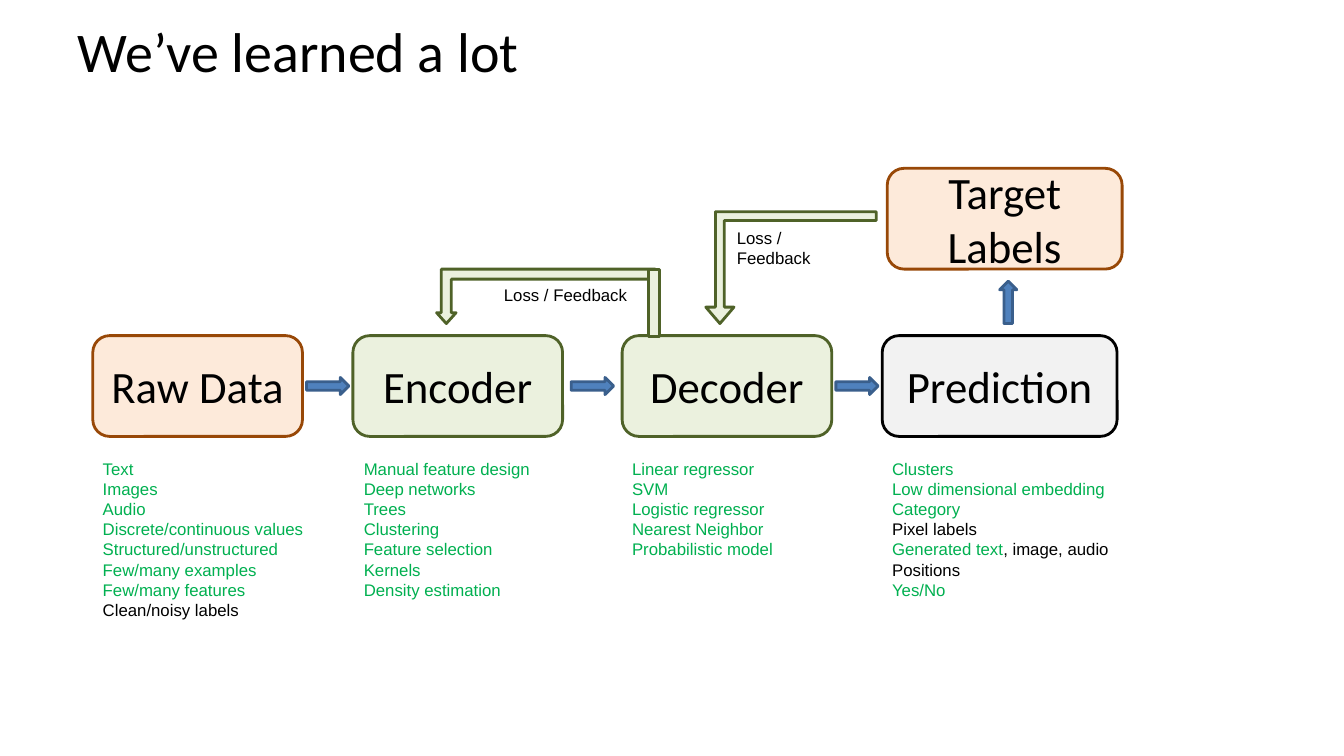
import pptx
import pptx.util
import pptx.dml.color
import pptx.enum.shapes
import pptx.enum.text

Inches = pptx.util.Inches
RGBColor = pptx.dml.color.RGBColor
SHAPE = pptx.enum.shapes.MSO_SHAPE
ALIGN = pptx.enum.text.PP_ALIGN
ANCHOR = pptx.enum.text.MSO_ANCHOR
FIT = pptx.enum.text.MSO_AUTO_SIZE

BLACK = RGBColor(0x00, 0x00, 0x00)
GREEN = RGBColor(0x00, 0xB0, 0x50)
PEACH = RGBColor(0xFD, 0xEA, 0xDA)
BROWN = RGBColor(0x98, 0x48, 0x07)
PALE_GREEN = RGBColor(0xEB, 0xF1, 0xDE)
OLIVE = RGBColor(0x4F, 0x62, 0x28)
PALE_GREY = RGBColor(0xF2, 0xF2, 0xF2)
BLUE = RGBColor(0x4F, 0x81, 0xBD)
DARK_BLUE = RGBColor(0x3A, 0x5F, 0x8C)

STAGE_TOP, STAGE_HEIGHT = 3.33, 1
LIST_TOP = 4.5
ARROW_WIDTH, ARROW_HEIGHT = 0.42, 0.17

# Name, left, width, fill, line, list box (left, width, height), list lines.
# A line is a list of (text, colour) runs.
STAGES = [
    ("Raw Data", 0.92, 2.08, PEACH, BROWN, (0.92, 2.21, 1.92), [
        [("Text", GREEN)], [("Images", GREEN)], [("Audio", GREEN)],
        [("Discrete/continuous values", GREEN)],
        [("Structured/unstructured", GREEN)],
        [("Few/many examples", GREEN)], [("Few/many features", GREEN)],
        [("Clean/noisy labels", BLACK)]]),
    ("Encoder", 3.5, 2.08, PALE_GREEN, OLIVE, (3.51, 1.86, 1.72), [
        [("Manual feature design", GREEN)], [("Deep networks", GREEN)],
        [("Trees", GREEN)], [("Clustering", GREEN)],
        [("Feature selection", GREEN)], [("Kernels", GREEN)],
        [("Density estimation", GREEN)]]),
    ("Decoder", 6.17, 2.08, PALE_GREEN, OLIVE, (6.17, 1.61, 1.72), [
        [("Linear regressor", GREEN)], [("SVM", GREEN)],
        [("Logistic regressor", GREEN)], [("Nearest Neighbor", GREEN)],
        [("Probabilistic model", GREEN)]]),
    ("Prediction", 8.75, 2.33, PALE_GREY, BLACK, (8.75, 2.37, 1.51), [
        [("Clusters", GREEN)], [("Low dimensional embedding", GREEN)],
        [("Category", GREEN)], [("Pixel labels", BLACK)],
        [("Generated text", GREEN), (", image, audio", BLACK)],
        [("Positions", BLACK)], [("Yes/No", GREEN)]]),
]


def add_run(para, text, size, font, color):
    span = para.add_run()
    span.text = text
    span.font.size = pptx.util.Pt(size)
    span.font.name = font
    span.font.color.rgb = color


def add_outlined(page, kind, box, fill, line):
    shape = page.shapes.add_shape(kind, *map(Inches, box))
    shape.shadow.inherit = False
    shape.fill.solid()
    shape.fill.fore_color.rgb = fill
    shape.line.color.rgb = line
    shape.line.width = pptx.util.Pt(2)
    return shape


def add_title(page, box, text):
    title = page.shapes.title
    title.left, title.top, title.width, title.height = map(Inches, box)
    frame = title.text_frame
    frame.auto_size = FIT.NONE
    frame.vertical_anchor = ANCHOR.MIDDLE
    para = frame.paragraphs[0]
    para.alignment = ALIGN.LEFT
    add_run(para, text, 40, "Calibri", BLACK)


def add_stage(page, box, text, fill, line):
    shape = add_outlined(page, SHAPE.ROUNDED_RECTANGLE, box, fill, line)
    frame = shape.text_frame
    frame.word_wrap = True
    frame.vertical_anchor = ANCHOR.MIDDLE
    para = frame.paragraphs[0]
    para.alignment = ALIGN.CENTER
    add_run(para, text, 32, "Calibri", BLACK)


def add_lines(page, box, lines, wrap):
    frame = page.shapes.add_textbox(*map(Inches, box)).text_frame
    frame.word_wrap = wrap
    frame.auto_size = FIT.SHAPE_TO_FIT_TEXT
    for number, runs in enumerate(lines):
        para = frame.add_paragraph() if number else frame.paragraphs[0]
        for text, color in runs:
            add_run(para, text, 12, "Arial", color)


def add_flow_arrow(page, center_x, center_y, rotation=0):
    box = (center_x - ARROW_WIDTH / 2, center_y - ARROW_HEIGHT / 2,
           ARROW_WIDTH, ARROW_HEIGHT)
    arrow = add_outlined(page, SHAPE.RIGHT_ARROW, box, BLUE, DARK_BLUE)
    arrow.rotation = rotation


def add_feedback(page, box, adjustments, label_box):
    arrow = add_outlined(page, SHAPE.BENT_UP_ARROW, box, PALE_GREEN, OLIVE)
    arrow.rotation = 180
    for number, value in enumerate(adjustments):
        arrow.adjustments[number] = value
    add_lines(page, label_box, [[("Loss / Feedback", BLACK)]], True)


def add_pipeline(page):
    # Stages with the methods learned for each
    for name, left, width, fill, line, (x, w, h), lines in STAGES:
        add_stage(page, (left, STAGE_TOP, width, STAGE_HEIGHT), name, fill, line)
        add_lines(page, (x, LIST_TOP, w, h), lines, False)

    # Arrows centred in the gaps between stages
    for before, after in zip(STAGES, STAGES[1:]):
        gap_center = (before[1] + before[2] + after[1]) / 2
        add_flow_arrow(page, gap_center, STAGE_TOP + STAGE_HEIGHT / 2)

    # Target labels above the prediction
    add_stage(page, (8.8, 1.67, 2.33, 1), "Target Labels", PEACH, BROWN)
    add_flow_arrow(page, 10, 3, 270)

    # Feedback to the decoder, then from the decoder to the encoder
    add_feedback(page, (7, 2.1, 1.69, 1.11), (0.079, 0.126, 0.147),
                 (7.21, 2.21, 1.36, 0.5))
    add_feedback(page, (4.33, 2.67, 2.17, 0.54), (0.184, 0.179, 0.2),
                 (4.9, 2.78, 1.63, 0.3))
    add_outlined(page, SHAPE.RECTANGLE, (6.43, 2.67, 0.11, 0.67),
                 PALE_GREEN, OLIVE)


def main():
    deck = pptx.Presentation()
    deck.slide_width, deck.slide_height = Inches(13.33), Inches(7.5)
    page = deck.slides.add_slide(deck.slide_layouts[5])
    add_title(page, (0.67, 0, 12, 1), "We’ve learned a lot")
    add_pipeline(page)
    deck.save("out.pptx")


if __name__ == "__main__":
    main()
